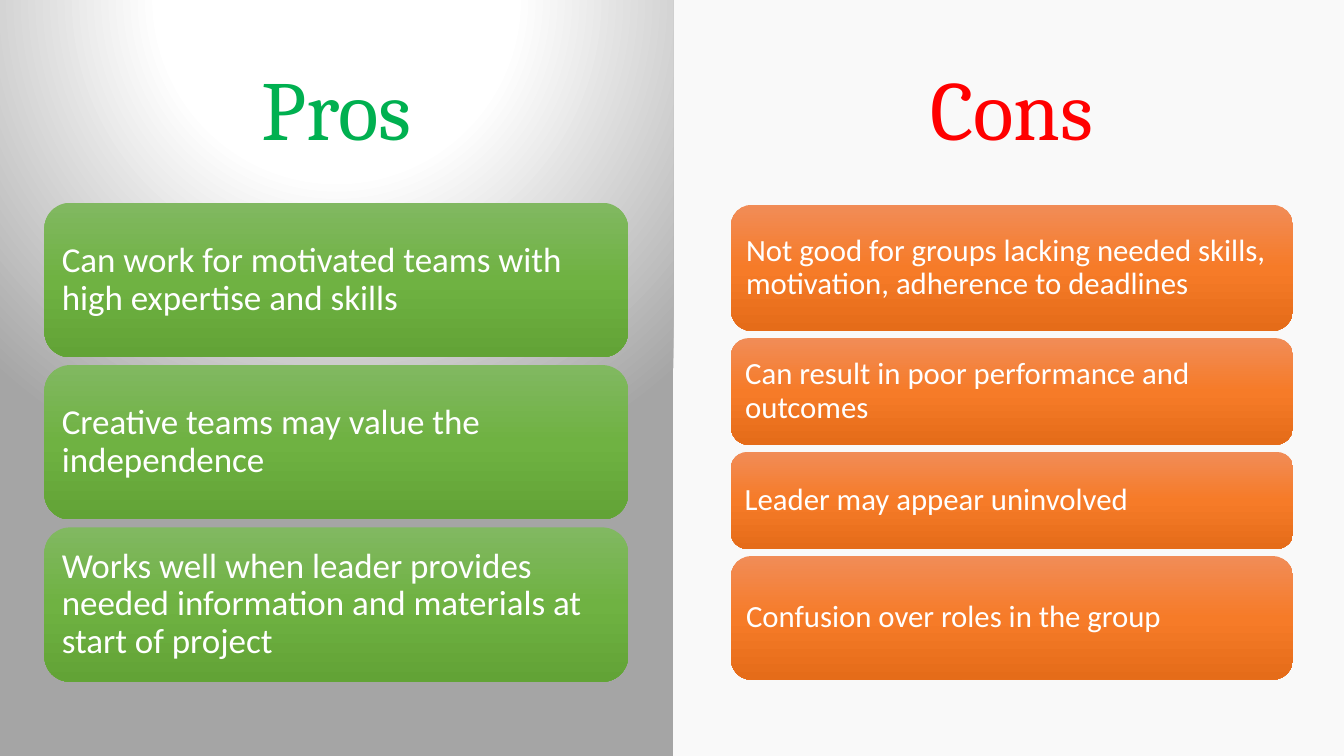
import pptx
import pptx.dml.color
import pptx.enum.shapes
import pptx.enum.text
import pptx.oxml
import pptx.oxml.ns
import pptx.util

Cm = pptx.util.Cm
RGBColor = pptx.dml.color.RGBColor
Shapes = pptx.enum.shapes.MSO_SHAPE
Align = pptx.enum.text.PP_ALIGN

BACKGROUND = RGBColor(0xF9, 0xF9, 0xF9)
WHITE = RGBColor(0xFF, 0xFF, 0xFF)
GREY = RGBColor(0xA5, 0xA5, 0xA5)
PROS_TITLE = RGBColor(0x00, 0xB0, 0x50)
CONS_TITLE = RGBColor(0xFF, 0x00, 0x00)
GREENS = [(0, RGBColor(0x81, 0xB8, 0x61)), (50, RGBColor(0x6F, 0xB2, 0x42)),
          (100, RGBColor(0x62, 0xA3, 0x36))]
ORANGES = [(0, RGBColor(0xF1, 0x8C, 0x57)), (50, RGBColor(0xF6, 0x7B, 0x28)),
           (100, RGBColor(0xE5, 0x6C, 0x19))]
GREYS = [(0, WHITE), (35, WHITE), (100, GREY)]

DOWNWARD = '<a:lin ang="5400000" scaled="0"/>'
SPOTLIGHT = ('<a:path path="circle"><a:fillToRect l="50000" t="-80000" '
             'r="50000" b="180000"/></a:path>')

PROS = [
    ("Can work for motivated teams with high expertise and skills", 3.89),
    ("Creative teams may value the independence", 3.89),
    ("Works well when leader provides needed information and materials "
     "at start of project", 3.89),
]
CONS = [
    ("Not good for groups lacking needed skills, motivation, "
     "adherence to deadlines", 3.18),
    ("Can result in poor performance and outcomes", 2.69),
    ("Leader may appear uninvolved", 2.44),
    ("Confusion over roles in the group", 3.12),
]


def add_gradient_box(page, kind, left, top, width, height, stops, direction):
    """Add a borderless shape with a gradient of any number of stops."""
    box = page.shapes.add_shape(kind, Cm(left), Cm(top), Cm(width), Cm(height))
    box.shadow.inherit = False
    box.line.fill.background()
    marks = "".join(f'<a:gs pos="{place * 1000}"><a:srgbClr val="{color}"/></a:gs>'
                    for place, color in stops)
    gradient = pptx.oxml.parse_xml(
        f'<a:gradFill {pptx.oxml.ns.nsdecls("a")} rotWithShape="1">'
        f'<a:gsLst>{marks}</a:gsLst>{direction}</a:gradFill>')
    box.element.spPr.find(pptx.oxml.ns.qn("a:prstGeom")).addnext(gradient)
    return box


def write_text(box, text, font_name, size, color, alignment):
    frame = box.text_frame
    frame.word_wrap = True
    frame.vertical_anchor = pptx.enum.text.MSO_ANCHOR.MIDDLE
    frame.text = text
    para = frame.paragraphs[0]
    para.alignment = alignment
    para.line_spacing = 0.9
    para.font.name = font_name
    para.font.size = pptx.util.Pt(size)
    para.font.color.rgb = color


def format_heading(box, text, left, color):
    box.left, box.top, box.width, box.height = Cm(left), Cm(1.02), Cm(14.22), Cm(3.68)
    write_text(box, text, "Cambria", 60, color, Align.CENTER)


def add_cards(page, cards, left, top, width, gap, stops, size, inset):
    """Stack one rounded card per statement, with equal gaps."""
    for text, height in cards:
        card = add_gradient_box(page, Shapes.ROUNDED_RECTANGLE, left, top,
                                width, height, stops, DOWNWARD)
        frame = card.text_frame
        frame.margin_left = frame.margin_right = Cm(inset)
        frame.margin_top = frame.margin_bottom = Cm(inset)
        write_text(card, text, "Calibri", size, WHITE, Align.LEFT)
        top += height + gap


def main():
    deck = pptx.Presentation()
    deck.slide_width, deck.slide_height = Cm(33.87), Cm(19.05)
    page = deck.slides.add_slide(deck.slide_layouts[5])
    page.background.fill.solid()
    page.background.fill.fore_color.rgb = BACKGROUND

    # Left panel, placed behind the title
    panel = add_gradient_box(page, Shapes.RECTANGLE, 0, 0, 16.97, 19.05,
                             GREYS, SPOTLIGHT)
    title = page.shapes.title
    title.element.addprevious(panel.element)

    # Headings
    format_heading(title, "Pros", 1.37, PROS_TITLE)
    cons_heading = page.shapes.add_textbox(0, 0, 0, 0)
    format_heading(cons_heading, "Cons", 18.39, CONS_TITLE)

    # Statements
    add_cards(page, PROS, 1.12, 5.11, 14.71, 0.2, GREENS, 25, 0.25)
    add_cards(page, CONS, 18.42, 5.16, 14.17, 0.18, ORANGES, 22, 0.23)

    deck.save("out.pptx")


if __name__ == "__main__":
    main()
